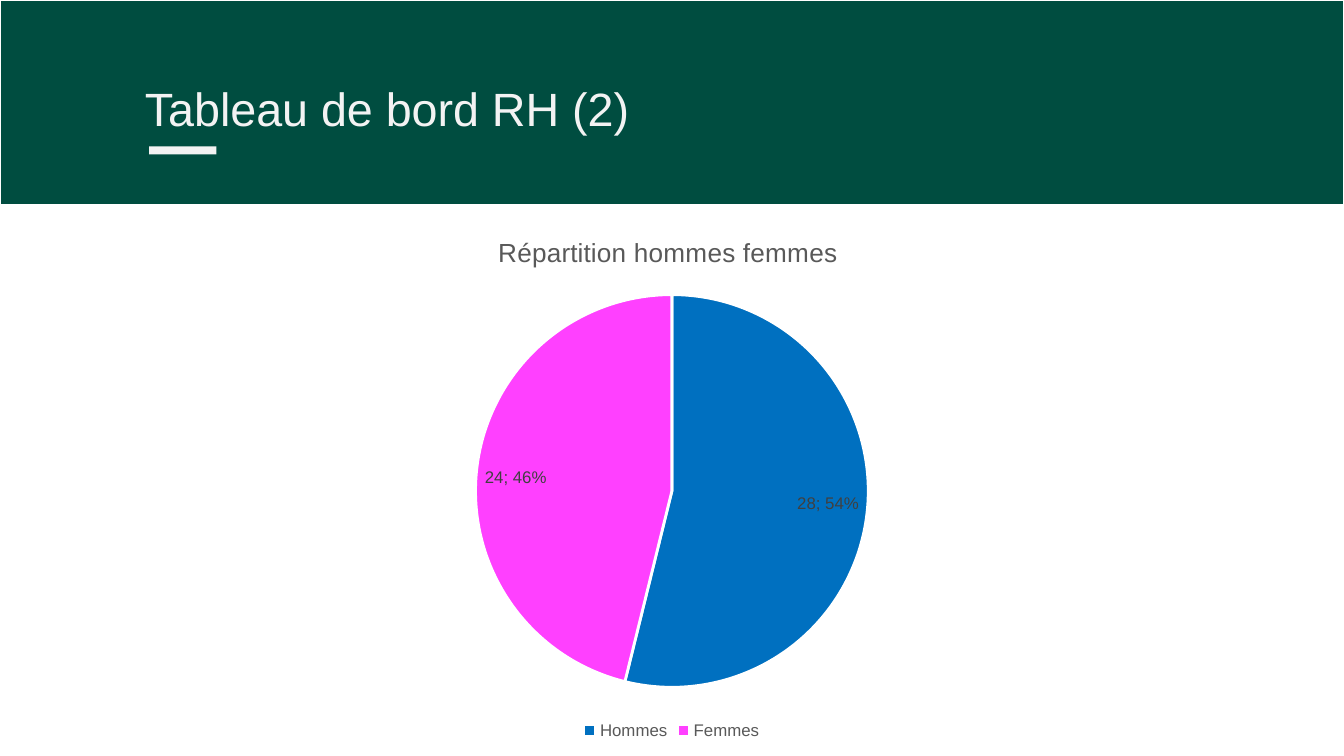
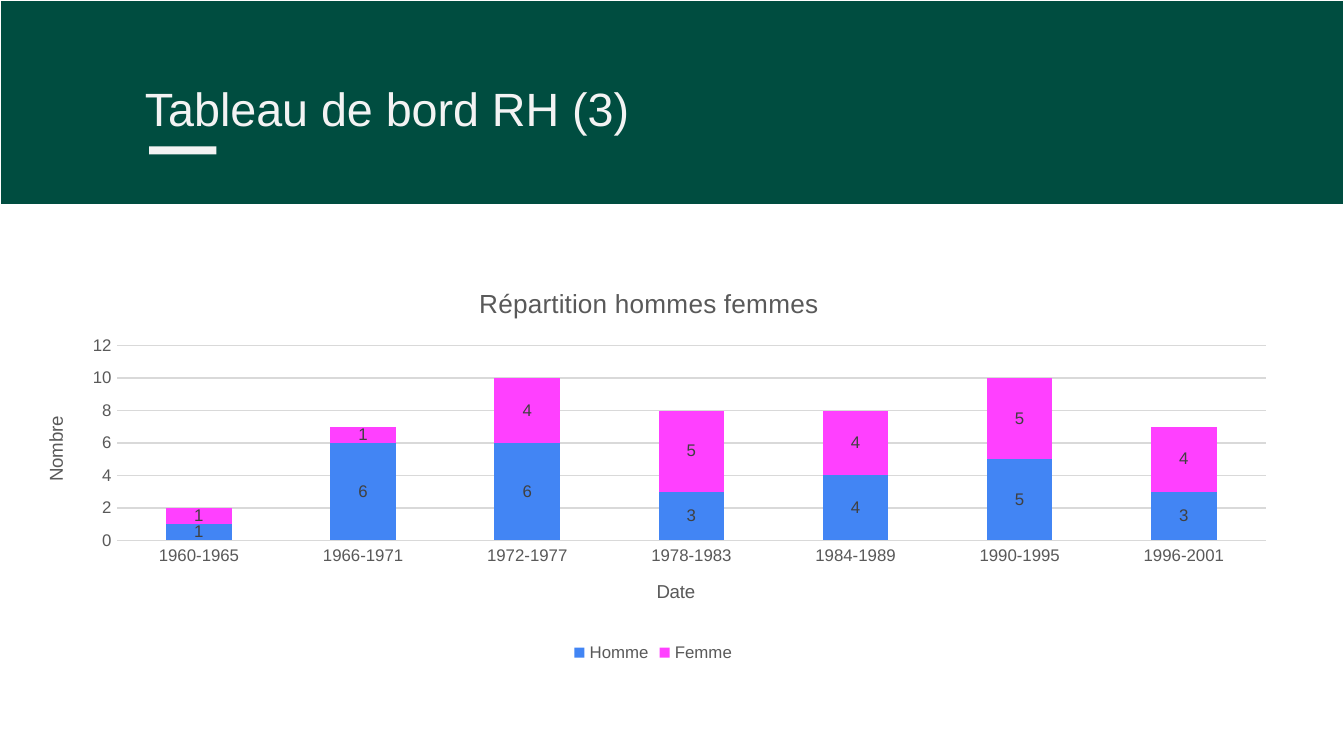
import pptx
import pptx.util
import pptx.dml.color
import pptx.chart.data
import pptx.enum.chart
import pptx.enum.shapes
import pptx.enum.text
import pptx.oxml
import pptx.oxml.ns
from dataclasses import dataclass

Inches, Pt = pptx.util.Inches, pptx.util.Pt
Kind = pptx.enum.chart.XL_CHART_TYPE
Place = pptx.enum.chart.XL_LABEL_POSITION
qn = pptx.oxml.ns.qn


@dataclass(frozen=True)
class Theme:
    font: str = "Arial"
    band: str = "004D40"
    pale: str = "F3F3F3"
    white: str = "FFFFFF"
    black: str = "000000"
    gray: str = "595959"
    dark: str = "404040"
    grid: str = "D9D9D9"
    head: float = 25
    title: float = 14
    axis: float = 10
    small: float = 9


THEME = Theme()

PIE = {
    "head": "Tableau de bord RH (2)",
    "kind": Kind.PIE,
    "box": (2.11, 1.6, 5.78, 3.95),
    "title": ("Répartition hommes femmes", 0.27, 0.03),
    "plot": (0.24, 0.15, 0.52, 0.74),
    "cats": ["Hommes", "Femmes"],
    "rows": [("Series 1", [28, 24])],
    "fills": ["0070C0", "FF40FF"],
}
BARS = {
    "head": "Tableau de bord RH (3)",
    "kind": Kind.COLUMN_STACKED,
    "box": (0.11, 2.01, 9.5, 2.96),
    "title": ("Répartition hommes femmes", 0.36, 0.03),
    "plot": (0.08, 0.19, 0.9, 0.49),
    "cats": [f"{year}-{year + 5}" for year in range(1960, 2000, 6)],
    "rows": [
        ("Homme", [1, 6, 6, 3, 4, 5, 3]),
        ("Femme", [1, 1, 4, 5, 4, 5, 4]),
    ],
    "fills": ["4285F4", "FF40FF"],
    "date": ("Date", 0.5, 0.77),
    "count": ("Nombre", 0.02, 0.36),
}


def rgb(code):
    return pptx.dml.color.RGBColor.from_string(code)


def style(font, size, color):
    font.name, font.size, font.bold = THEME.font, Pt(size), False
    font.color.rgb = rgb(color)


def paint(part, color):
    part.fill.solid()
    part.fill.fore_color.rgb = rgb(color)


def stroke(line, color, width):
    line.color.rgb = rgb(color)
    line.width = Pt(width)


def write(frame, text, size=THEME.title, color=THEME.gray):
    frame.text = text
    run = frame.paragraphs[0].runs[0]
    style(run.font, size, color)


def rect(slide, box, color):
    kind = pptx.enum.shapes.MSO_SHAPE.RECTANGLE
    shape = slide.shapes.add_shape(kind, *map(Inches, box))
    shape.shadow.inherit = False
    paint(shape, color)
    shape.line.fill.background()
    return shape


def node(tag, value=None):
    item = pptx.oxml.parse_xml(f"<c:{tag} {pptx.oxml.ns.nsdecls('c')}/>")
    if value is not None:
        item.set("val", str(value))
    return item


def place(owner, index, spot):
    for old in owner.findall(qn("c:layout")):
        owner.remove(old)
    layout, manual = node("layout"), node("manualLayout")
    if len(spot) == 4:
        manual.append(node("layoutTarget", "inner"))
    for name in "xy":
        manual.append(node(name + "Mode", "edge"))
    for name, value in zip("xywh", spot):
        manual.append(node(name, value))
    layout.append(manual)
    owner.insert(index, layout)


def label(title, data, size):
    text, *spot = data
    write(title.text_frame, text, size=size)
    place(title._element, 1, spot)


def add_page(deck, head):
    slide = deck.slides.add_slide(deck.slide_layouts[6])
    band = rect(slide, (0, 0, 10, 1.52), THEME.band)
    stroke(band.line, THEME.white, 0.75)
    rect(slide, (1.11, 1.09, 0.5, 0.06), THEME.pale)
    box = slide.shapes.add_textbox(*map(Inches, (0.98, 0.49, 9.32, 0.63)))
    frame = box.text_frame
    frame.word_wrap = True
    frame.vertical_anchor = pptx.enum.text.MSO_ANCHOR.MIDDLE
    for side in ("left", "top", "right", "bottom"):
        setattr(frame, "margin_" + side, Inches(0.1))
    write(frame, head, size=THEME.head, color=THEME.pale)
    return slide


def add_chart(slide, page):
    data = pptx.chart.data.CategoryChartData()
    data.categories = page["cats"]
    for name, values in page["rows"]:
        data.add_series(name, values)
    box = map(Inches, page["box"])
    chart = slide.shapes.add_chart(page["kind"], *box, data).chart
    style(chart.font, THEME.axis, THEME.black)
    chart.has_title = True
    label(chart.chart_title, page["title"], THEME.title)
    place(chart._chartSpace.chart.plotArea, 0, page["plot"])
    chart.has_legend = True
    chart.legend.position = pptx.enum.chart.XL_LEGEND_POSITION.BOTTOM
    chart.legend.include_in_layout = False
    style(chart.legend.font, THEME.small, THEME.gray)
    for row in chart.plots[0].series:
        tags = row.data_labels
        tags.show_value = True
        style(tags.font, THEME.small, THEME.dark)
    return chart


def dress_pie(chart, fills):
    chart.plots[0].vary_by_categories = True
    row = chart.plots[0].series[0]
    for index, color in enumerate(fills):
        part = row.points[index].format
        paint(part, color)
        stroke(part.line, THEME.white, 1.5)
    tags = row.data_labels
    tags.show_percentage = True
    tags.position = Place.INSIDE_END
    mark = node("separator")
    mark.text = "; "
    last = [item for item in tags._element if item.tag in (
        qn("c:showPercent"), qn("c:showBubbleSize"))][-1]
    last.addnext(mark)


def dress_bars(chart, page):
    plot = chart.plots[0]
    plot.vary_by_categories = False
    plot.gap_width, plot.overlap = 150, 100
    for row, color in zip(plot.series, page["fills"]):
        paint(row.format, color)
        row.invert_if_negative = False
        row.data_labels.position = Place.CENTER
    dates, count = chart.category_axis, chart.value_axis
    for axis, name in ((dates, "date"), (count, "count")):
        axis.has_title = True
        label(axis.axis_title, page[name], THEME.axis)
        axis.major_tick_mark = pptx.enum.chart.XL_TICK_MARK.NONE
        axis.minor_tick_mark = pptx.enum.chart.XL_TICK_MARK.NONE
        style(axis.tick_labels.font, THEME.small, THEME.gray)
    turn = count.axis_title.text_frame._txBody.bodyPr
    turn.set("rot", "-5400000")
    turn.set("vert", "horz")
    stroke(dates.format.line, THEME.grid, 0.75)
    count.format.line.fill.background()
    count.minimum_scale, count.maximum_scale, count.major_unit = 0, 12, 2
    count.has_major_gridlines = True
    stroke(count.major_gridlines.format.line, THEME.grid, 0.75)


def main():
    deck = pptx.Presentation()
    deck.slide_width = Inches(10)
    deck.slide_height = deck.slide_width * 9 // 16
    pie = add_chart(add_page(deck, PIE["head"]), PIE)
    dress_pie(pie, PIE["fills"])
    bars = add_chart(add_page(deck, BARS["head"]), BARS)
    dress_bars(bars, BARS)
    deck.save("out.pptx")


if __name__ == "__main__":
    main()
